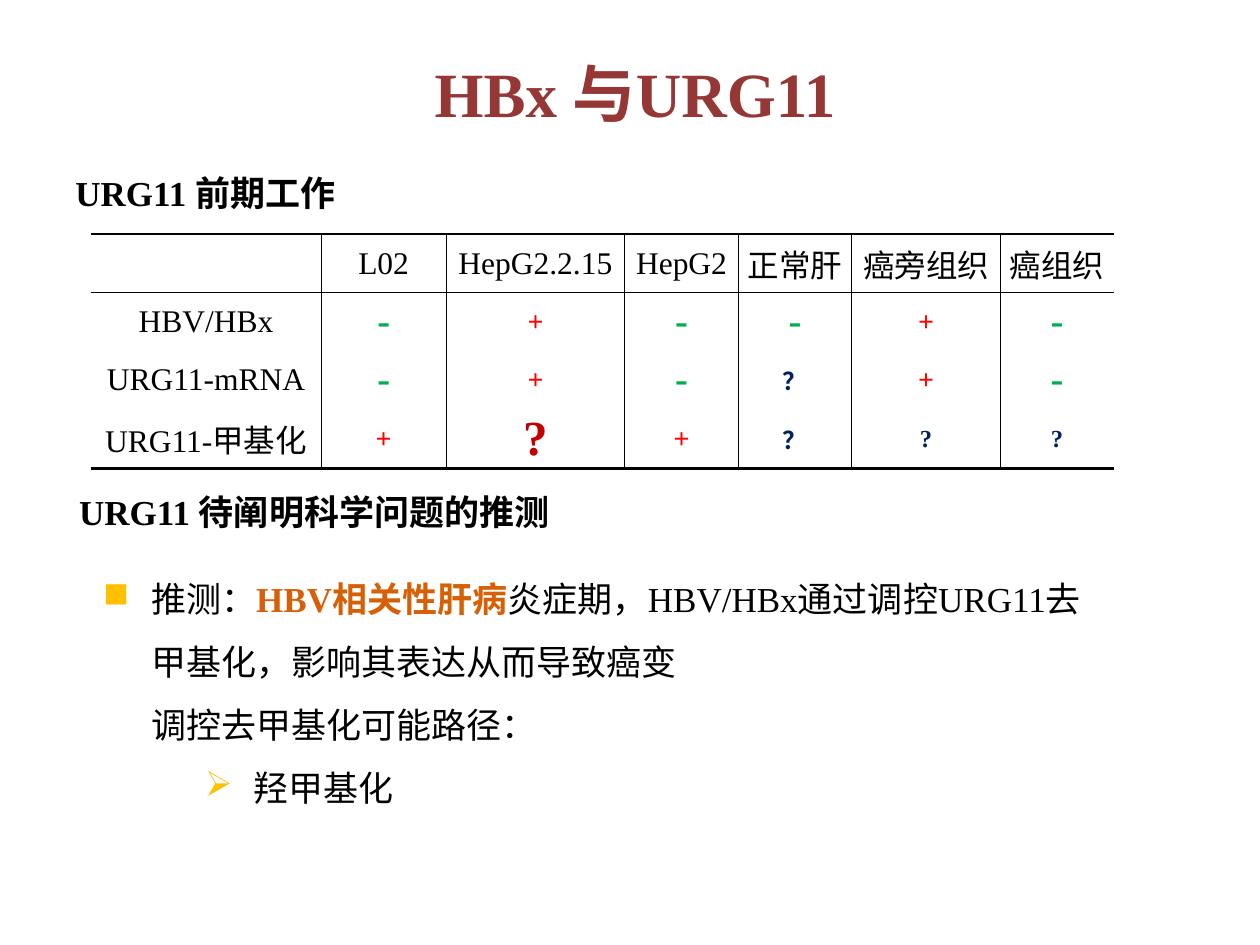
import pptx
import pptx.util
import pptx.dml.color
import pptx.enum.text
import pptx.oxml
from lxml import etree

Inches = pptx.util.Inches
Pt = pptx.util.Pt
ALIGN = pptx.enum.text.PP_ALIGN
ANCHOR = pptx.enum.text.MSO_ANCHOR

THEME = {
    "latin": "Times New Roman",
    "cjk": "Noto Sans CJK SC",
    "title": (36, "953735", True),
    "heading": (20, "000000", True),
    "body": (20, "000000", False),
    "accent": (20, "D76007", True),
    "label": (18, "000000", False),
    "-": (22, "00B050", True),
    "+": (16, "FF0000", True),
    "?": (14, "002060", True),
    "？": (14, "002060", True),
    "key": (28, "C00000", True),
    "bullet": "FFC000",
    "rule": "000000",
    "thick": 1.5,
    "thin": 0.5,
}

HEADINGS = [
    ("HBx 与URG11", "title", (1.93, 0.27, 6.22, 0.93), ALIGN.CENTER, ANCHOR.MIDDLE),
    ("URG11 前期工作", "heading", (0.5, 1.31, 9, 0.44), ALIGN.LEFT, ANCHOR.TOP),
    ("URG11 待阐明科学问题的推测", "heading", (0.53, 3.84, 5.37, 0.44), ALIGN.LEFT, ANCHOR.TOP),
]

RESULTS = [
    ["", "L02", "HepG2.2.15", "HepG2", "正常肝", "癌旁组织", "癌组织"],
    ["HBV/HBx", "-", "+", "-", "-", "+", "-"],
    ["URG11-mRNA", "-", "+", "-", "？", "+", "-"],
    ["URG11-甲基化", "+", "?", "+", "？", "?", "?"],
]
KEY_QUESTION = (3, 2)
RESULTS_AT = (0.72, 1.86, 8.12, 1.86)
COLUMN_WIDTHS = [1.83, 0.99, 1.42, 0.9, 0.9, 1.18, 0.9]
ROW_HEIGHTS = [0.46, 0.46, 0.46, 0.48]

HYPOTHESIS_AT = (0.72, 4.37, 8.11, 2.73)
HYPOTHESIS = [
    (0, 0.38, -0.38, "■", [
        ("推测：", "body"),
        ("HBV相关性肝病", "accent"),
        ("炎症期，HBV/HBx通过调控URG11去甲基化，影响其表达从而导致癌变", "body"),
    ]),
    (0, 0.38, 0, None, [("调控去甲基化可能路径：", "body")]),
    (1, 1.19, -0.38, "➢", [("羟甲基化", "body")]),
]


def add_element(parent, tag, **attributes):
    return etree.SubElement(parent, pptx.oxml.ns.qn(tag), **attributes)


def style_font(font, style, latin=THEME["latin"]):
    size, color, bold = THEME[style]
    font.size, font.bold, font.name = Pt(size), bold, latin
    font.color.rgb = pptx.dml.color.RGBColor.from_string(color)
    add_element(font._element, "a:ea", typeface=THEME["cjk"])


def add_text_frame(slide, place, anchor=ANCHOR.TOP):
    frame = slide.shapes.add_textbox(*map(Inches, place)).text_frame
    frame.word_wrap = True
    frame.vertical_anchor = anchor
    return frame


def add_heading(slide, text, style, place, align, anchor):
    frame = add_text_frame(slide, place, anchor)
    frame.text = text
    frame.paragraphs[0].alignment = align
    style_font(frame.paragraphs[0].runs[0].font, style)


def set_borders(cell, widths):
    properties = cell._tc.get_or_add_tcPr()
    for side in "LRTB":
        width = widths[side]
        line = add_element(properties, f"a:ln{side}", w=str(Pt(width)))
        if width:
            fill = add_element(line, "a:solidFill")
            add_element(fill, "a:srgbClr", val=THEME["rule"])
        else:
            add_element(line, "a:noFill")


def add_results(slide):
    last_row, last_column = len(RESULTS) - 1, len(COLUMN_WIDTHS) - 1
    table = slide.shapes.add_table(
        last_row + 1, last_column + 1, *map(Inches, RESULTS_AT)).table
    table.first_row = table.horz_banding = False
    for column, width in zip(table.columns, COLUMN_WIDTHS):
        column.width = Inches(width)
    for row, height in zip(table.rows, ROW_HEIGHTS):
        row.height = Inches(height)
    rules = {0: THEME["thick"], 1: THEME["thin"], last_row + 1: THEME["thick"]}
    for r, values in enumerate(RESULTS):
        for c, value in enumerate(values):
            cell = table.cell(r, c)
            cell.margin_left = cell.margin_right = cell.margin_top = Inches(0.01)
            cell.margin_bottom = 0
            cell.vertical_anchor = ANCHOR.MIDDLE
            cell.text = value
            paragraph = cell.text_frame.paragraphs[0]
            paragraph.alignment = ALIGN.CENTER
            style = "key" if (r, c) == KEY_QUESTION else value if value in THEME else "label"
            latin = THEME["cjk"] if value == "？" else THEME["latin"]
            for part in paragraph.runs or [paragraph]:
                style_font(part.font, style, latin)
            set_borders(cell, {
                "L": THEME["thin"] if c > 0 else 0,
                "R": THEME["thin"] if c < last_column else 0,
                "T": rules.get(r, 0),
                "B": rules.get(r + 1, 0),
            })
            cell.fill.background()


def add_hypothesis(slide):
    frame = add_text_frame(slide, HYPOTHESIS_AT)
    for i, (level, margin, indent, bullet, parts) in enumerate(HYPOTHESIS):
        paragraph = frame.add_paragraph() if i else frame.paragraphs[0]
        paragraph.level = level
        paragraph.line_spacing = 1.5
        properties = paragraph._p.get_or_add_pPr()
        properties.set("marL", str(Inches(margin)))
        properties.set("indent", str(Inches(indent)))
        if bullet:
            color = add_element(properties, "a:buClr")
            add_element(color, "a:srgbClr", val=THEME["bullet"])
            add_element(properties, "a:buChar", char=bullet)
        for text, style in parts:
            run = paragraph.add_run()
            run.text = text
            style_font(run.font, style)


def main():
    deck = pptx.Presentation()
    deck.slide_width, deck.slide_height = Inches(10), Inches(7.5)
    slide = deck.slides.add_slide(deck.slide_layouts[6])
    for heading in HEADINGS:
        add_heading(slide, *heading)
    add_results(slide)
    add_hypothesis(slide)
    deck.save("out.pptx")


if __name__ == "__main__":
    main()
